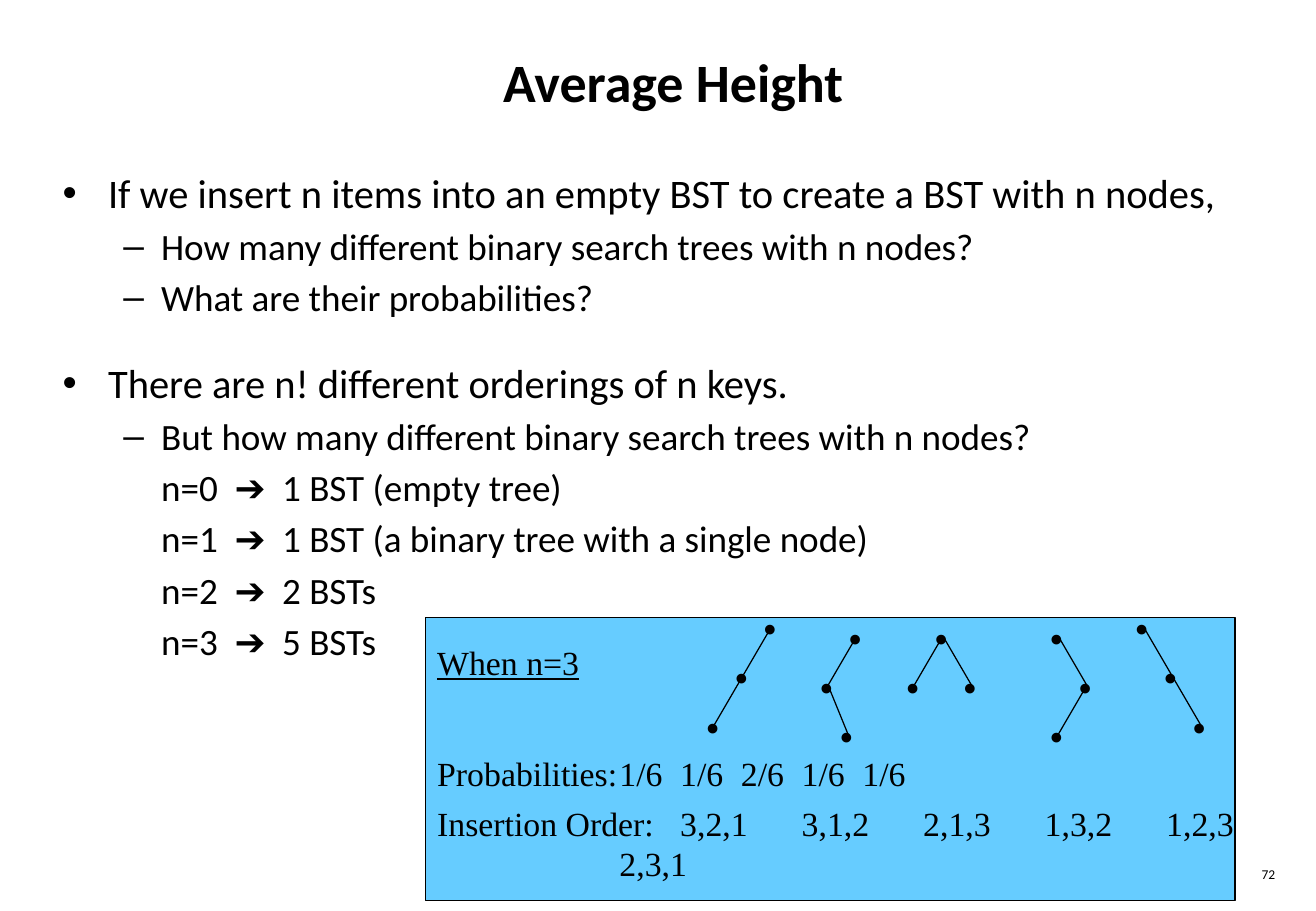
from lxml.etree import SubElement
from pptx import Presentation
from pptx.dml.color import RGBColor
from pptx.enum.shapes import MSO_CONNECTOR as Link, MSO_SHAPE as Shape
from pptx.enum.text import MSO_ANCHOR as Anchor, PP_ALIGN as Align
from pptx.oxml.ns import qn
from pptx.util import Cm, Pt

BLACK = RGBColor(0x00, 0x00, 0x00)
BLUE = RGBColor(0x66, 0xCC, 0xFF)
SANS, SERIF = "Calibri", "Times New Roman"

# Content
TITLE = "Average Height"
NUMBER = "72"
BODY = [  # kind of line, text
    ("first", "If we insert n items into an empty BST to create a BST with n nodes,"),
    ("sub", "How many different binary search trees with n nodes?"),
    ("sub", "What are their probabilities?"),
    ("next", "There are n! different orderings of n keys."),
    ("sub", "But how many different binary search trees with n nodes?"),
    ("plain", "n=0  ➔  1 BST (empty tree)"),
    ("plain", "n=1  ➔  1 BST (a binary tree with a single node)"),
    ("plain", "n=2  ➔  2 BSTs"),
    ("plain", "n=3  ➔  5 BSTs"),
]
HEAD = "When n=3"
ODDS = ["Probabilities:", "1/6", "1/6", "2/6", "1/6", "1/6"]
ORDER = ["Insertion Order:", "3,2,1", "3,1,2", "2,1,3", "1,3,2", "1,2,3"]
MORE = ["", "", "", "2,3,1"]
TREES = [  # root in cm, then the two lower nodes in steps from it, and their parents
    ((16.13, 13.1), [(-1, 1), (-2, 2)], [0, 1]),
    ((17.91, 13.3), [(-1, 1), (-0.3, 2)], [0, 1]),
    ((19.71, 13.3), [(-1, 1), (1, 1)], [0, 0]),
    ((22.12, 13.3), [(1, 1), (0, 2)], [0, 1]),
    ((23.9, 13.1), [(1, 1), (2, 2)], [0, 1]),
]

# Layout rules, in cm; styles hold size, space before, margin, hang and bullet
STEP_X, STEP_Y = 0.6, 1.03
TABS = [5.87, 8.27, 10.49, 13.12, 15.61]
STYLES = {
    "first": dict(size=24, before=0, margin=0.95, hang=0.95, mark="•"),
    "next": dict(size=24, before=23, margin=0.95, hang=0.95, mark="•"),
    "sub": dict(size=22, before=4, margin=2.06, hang=0.79, mark="–"),
    "plain": dict(size=22, before=4, margin=2.06),
}

deck = Presentation()
deck.slide_width, deck.slide_height = Cm(27.51), Cm(19.05)
slide = deck.slides.add_slide(deck.slide_layouts[5])
shapes = slide.shapes


def box(x, y, w, h, wrap=True):
    frame = shapes.add_textbox(Cm(x), Cm(y), Cm(w), Cm(h)).text_frame
    frame.word_wrap = wrap
    return frame


def write(frame, text, size=20, font=SERIF, bold=False, line=False, align=Align.LEFT,
          before=0, margin=0, hang=0, mark=None, tabs=()):
    """Fill the first paragraph of the frame, or add one after it."""
    para = frame.paragraphs[0]
    if para.runs:
        para = frame.add_paragraph()
    para.alignment, para.space_before = align, Pt(before)
    run = para.add_run()
    run.text = text
    face = run.font
    face.size, face.name, face.bold, face.underline = Pt(size), font, bold, line
    face.color.rgb = BLACK
    # Indent, bullet and centred tab stops
    props = para._p.get_or_add_pPr()
    props.set("marL", str(Cm(margin)))
    props.set("indent", str(-Cm(hang)))
    if mark:
        SubElement(props, qn("a:buFont"), typeface="Arial")
        SubElement(props, qn("a:buChar"), char=mark)
    else:
        SubElement(props, qn("a:buNone"))
    if tabs:
        stops = SubElement(props, qn("a:tabLst"))
        for tab in tabs:
            SubElement(stops, qn("a:tab"), pos=str(Cm(tab)), algn="ctr")


def edge(start, end):
    link = shapes.add_connector(Link.STRAIGHT, *[Cm(v) for v in (*start, *end)])
    link.line.color.rgb, link.line.width = BLACK, Pt(0.75)
    SubElement(link._element.spPr, qn("a:effectLst"))


# Title, body and slide number
title = shapes.title
title.left, title.top, title.width, title.height = Cm(1.06), Cm(0.43), Cm(26.03), Cm(2.54)
title.text_frame.vertical_anchor = Anchor.MIDDLE
write(title.text_frame, TITLE, size=32, font=SANS, bold=True, align=Align.CENTER)
body = box(1.06, 3.39, 25.82, 12.5)
for kind, text in BODY:
    write(body, text, font=SANS, **STYLES[kind])
write(box(21.16, 17.99, 5.75, 0.64), NUMBER, size=8, font=SANS, align=Align.RIGHT)

# Blue panel
panel = shapes.add_shape(Shape.RECTANGLE, Cm(8.89), Cm(12.91), Cm(16.93), Cm(5.93))
panel.shadow.inherit = False
panel.fill.solid()
panel.fill.fore_color.rgb = BLUE
panel.line.color.rgb, panel.line.width = BLACK, Pt(0.75)

# Trees
for root, lower, parents in TREES:
    nodes = [(root[0] + i * STEP_X, root[1] + j * STEP_Y) for i, j in [(0, 0), *lower]]
    for node, parent in zip(nodes[1:], parents):
        edge(nodes[parent], node)
    for x, y in nodes:
        write(box(x - 0.43, y - 0.61, 0.89, 1.27, wrap=False), "•", size=24)

# Panel text
write(box(8.89, 13.29, 3.5, 1.11, wrap=False), HEAD, line=True)
write(box(8.89, 15.62, 17.2, 1.11), "\t".join(ODDS), tabs=TABS)
orders = box(8.89, 16.66, 17.2, 1.96)
for row in (ORDER, MORE):
    write(orders, "\t".join(row), tabs=TABS)

deck.save("out.pptx")
